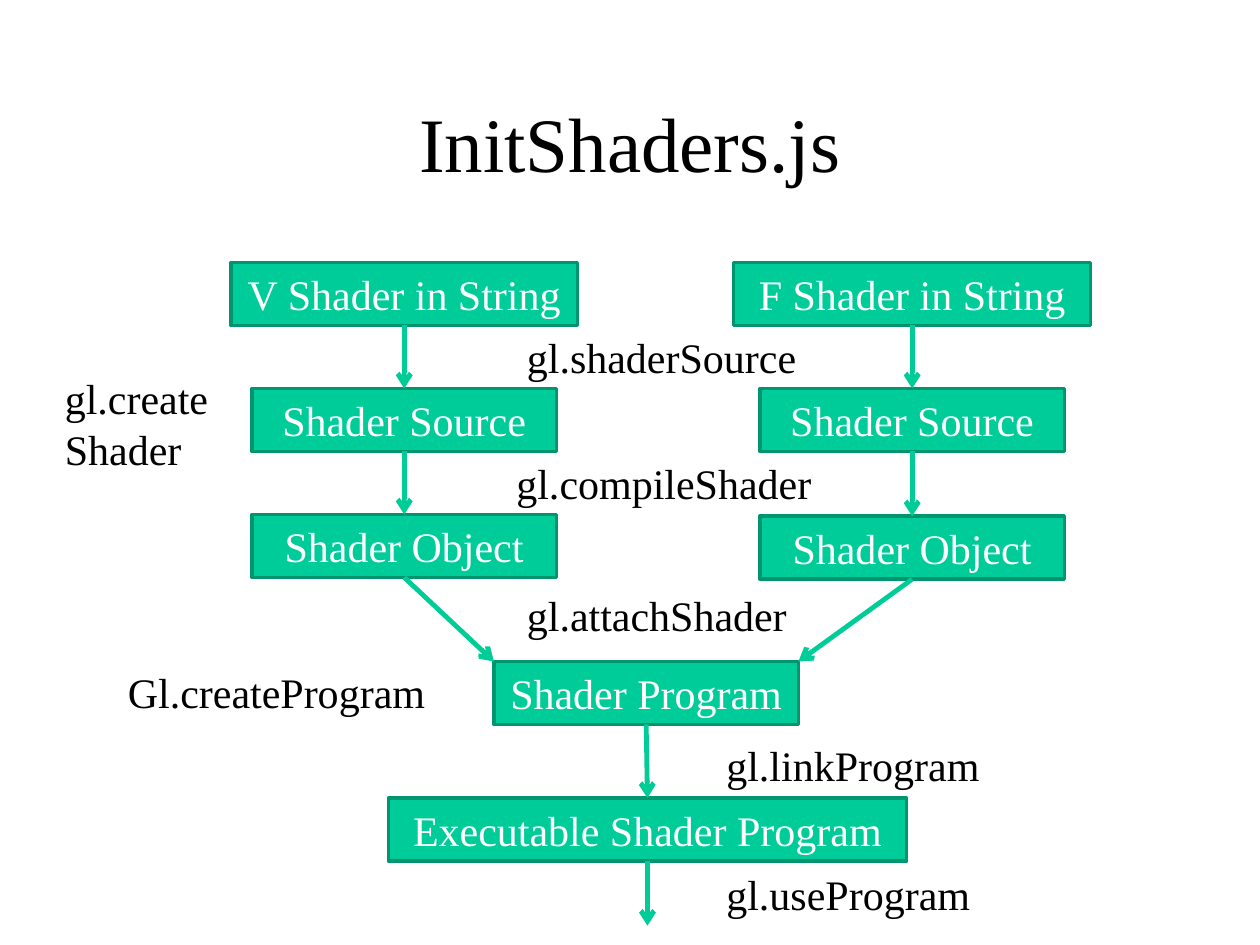
from dataclasses import dataclass

import pptx
import pptx.dml.color
import pptx.enum.shapes
import pptx.enum.text
import pptx.oxml
import pptx.oxml.ns
import pptx.util
from pptx.shapes.autoshape import Shape
from pptx.shapes.connector import Connector
from pptx.slide import Slide

Pt = pptx.util.Pt
RGBColor = pptx.dml.color.RGBColor
Anchor = pptx.enum.text.MSO_ANCHOR
Align = pptx.enum.text.PP_ALIGN

GREEN = RGBColor(0x00, 0xCC, 0x99)
ARROW_GREEN = RGBColor(0x00, 0xCC, 0x98)
DARK_GREEN = RGBColor(0x00, 0x95, 0x6F)
BLACK = RGBColor(0x00, 0x00, 0x00)
WHITE = RGBColor(0xFF, 0xFF, 0xFF)

FONT = "Times New Roman"
BOX_HEIGHT = 36
TOP, BOTTOM = 0, 2
VERTEX_X, FRAGMENT_X, PROGRAM_X, EXECUTABLE_X = 231, 521.25, 369.25, 370
PROGRAM_TOP, PROGRAM_WIDTH = 378, 174


@dataclass
class Stage:
    text: str
    center: float
    top: float
    width: float = 174


@dataclass
class Label:
    text: str
    left: float
    top: float
    width: float = 186
    height: float = 36


VERTEX_STAGES = [
    Stage("V Shader in String", VERTEX_X, 150, 198),
    Stage("Shader Source", VERTEX_X, 222),
    Stage("Shader Object", VERTEX_X, 294),
]
FRAGMENT_STAGES = [
    Stage("F Shader in String", FRAGMENT_X, 150, 204),
    Stage("Shader Source", FRAGMENT_X, 222),
    Stage("Shader Object", FRAGMENT_X, 295),
]
PROGRAM_STAGES = [
    Stage("Shader Program", PROGRAM_X, PROGRAM_TOP, PROGRAM_WIDTH),
    Stage("Executable Shader Program", EXECUTABLE_X, 456, 296),
]
LABELS = [
    Label("gl.shaderSource", 294, 186),
    Label("gl.compileShader", 288, 258),
    Label("gl.attachShader", 294, 333.5),
    Label("gl.linkProgram", 408, 419),
    Label("gl.useProgram", 408, 492.5),
    Label("Gl.createProgram", 66, 377.5),
    Label("gl.createShader", 30, 209.5, 108, 65),
]


def write_text(shape: Shape, text: str, size: float, color: RGBColor,
               align: Align, anchor: Anchor) -> None:
    frame = shape.text_frame
    frame.word_wrap = True
    frame.vertical_anchor = anchor
    paragraph = frame.paragraphs[0]
    paragraph.alignment = align
    run = paragraph.add_run()
    run.text = text
    run.font.name = FONT
    run.font.size = Pt(size)
    run.font.color.rgb = color


def add_label(slide: Slide, label: Label, size: float = 24,
              align: Align = Align.LEFT, anchor: Anchor = Anchor.TOP) -> None:
    shape = slide.shapes.add_textbox(
        Pt(label.left), Pt(label.top), Pt(label.width), Pt(label.height))
    write_text(shape, label.text, size, BLACK, align, anchor)


def add_stage(slide: Slide, stage: Stage) -> Shape:
    shape = slide.shapes.add_shape(
        pptx.enum.shapes.MSO_SHAPE.RECTANGLE,
        Pt(stage.center - stage.width / 2), Pt(stage.top),
        Pt(stage.width), Pt(BOX_HEIGHT))
    shape.shadow.inherit = False
    shape.fill.solid()
    shape.fill.fore_color.rgb = GREEN
    shape.line.color.rgb = DARK_GREEN
    shape.line.width = Pt(2)
    write_text(shape, stage.text, 24, WHITE, Align.CENTER, Anchor.MIDDLE)
    return shape


def add_arrow(slide: Slide, start: Shape, end_x: float = 0,
              end_y: float = 0) -> Connector:
    """Draw an arrow from the bottom of a stage to a point."""
    arrow = slide.shapes.add_connector(
        pptx.enum.shapes.MSO_CONNECTOR.STRAIGHT,
        Pt(0), Pt(0), Pt(end_x), Pt(end_y))
    arrow.begin_connect(start, BOTTOM)
    arrow.line.color.rgb = ARROW_GREEN
    arrow.line.width = Pt(2.75)
    line = arrow.line._get_or_add_ln()
    head = pptx.oxml.ns.qn("a:tailEnd")
    line.append(pptx.oxml.parse_xml(
        '<a:tailEnd xmlns:a="http://schemas.openxmlformats.org/drawingml/2006/main"'
        ' type="arrow"/>')) if line.find(head) is None else None
    arrow._element.spPr.append(pptx.oxml.parse_xml(
        '<a:effectLst xmlns:a="http://schemas.openxmlformats.org/drawingml/2006/main"/>'))
    return arrow


def add_chain(slide: Slide, stages: list[Stage]) -> Shape:
    """Draw stages joined by arrows and return the last one."""
    shapes = [add_stage(slide, stage) for stage in stages]
    for upper, lower in zip(shapes, shapes[1:]):
        add_arrow(slide, upper).end_connect(lower, TOP)
    return shapes[-1]


def main() -> None:
    presentation = pptx.Presentation()
    presentation.slide_width = Pt(720)
    presentation.slide_height = Pt(540)
    slide = presentation.slides.add_slide(presentation.slide_layouts[6])

    # Title
    add_label(slide, Label("InitShaders.js", 54, 36, 612, 90), 44,
              Align.CENTER, Anchor.MIDDLE)

    # Stages and the arrows between them
    vertex_object = add_chain(slide, VERTEX_STAGES)
    fragment_object = add_chain(slide, FRAGMENT_STAGES)
    executable = add_chain(slide, PROGRAM_STAGES)

    # Both shader objects meet at the program's upper corners
    add_arrow(slide, vertex_object, PROGRAM_X - PROGRAM_WIDTH / 2, PROGRAM_TOP)
    add_arrow(slide, fragment_object, PROGRAM_X + PROGRAM_WIDTH / 2, PROGRAM_TOP)
    add_arrow(slide, executable, EXECUTABLE_X, 529)

    # Function names
    for label in LABELS:
        add_label(slide, label)

    presentation.save("out.pptx")


if __name__ == "__main__":
    main()
